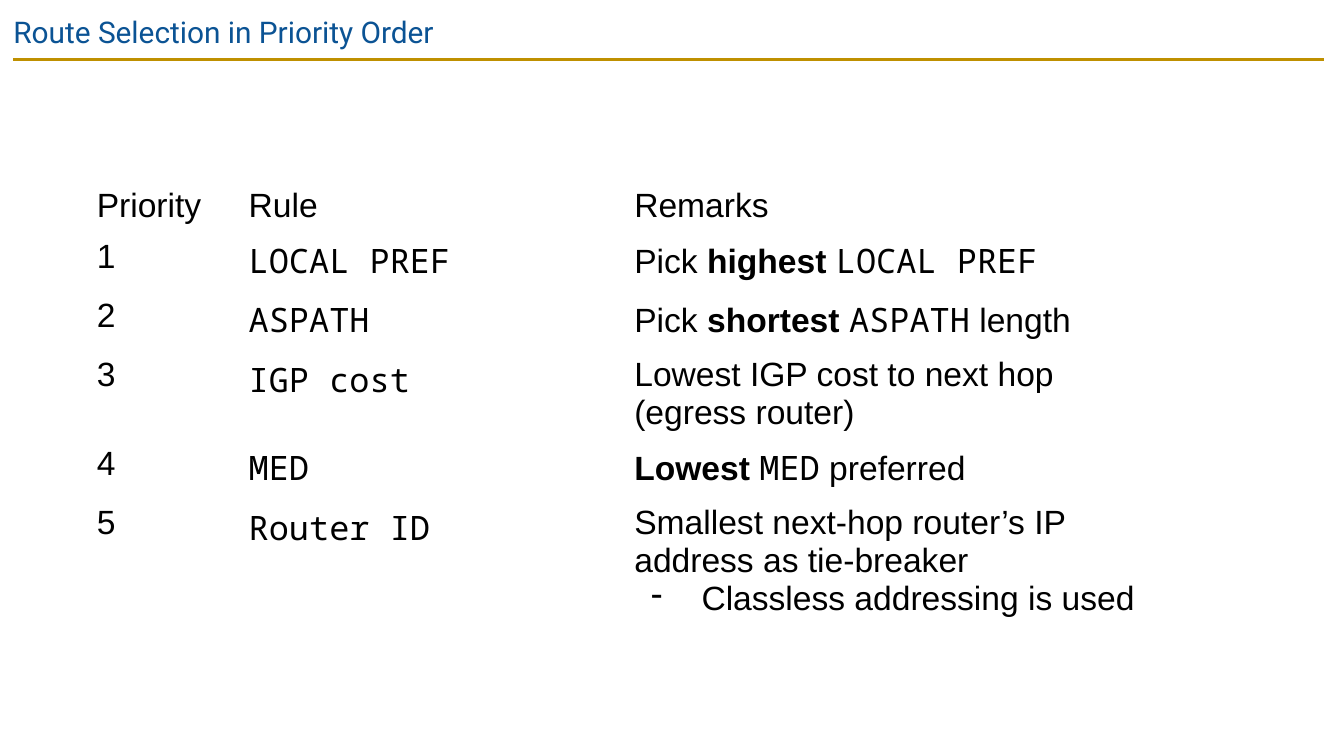
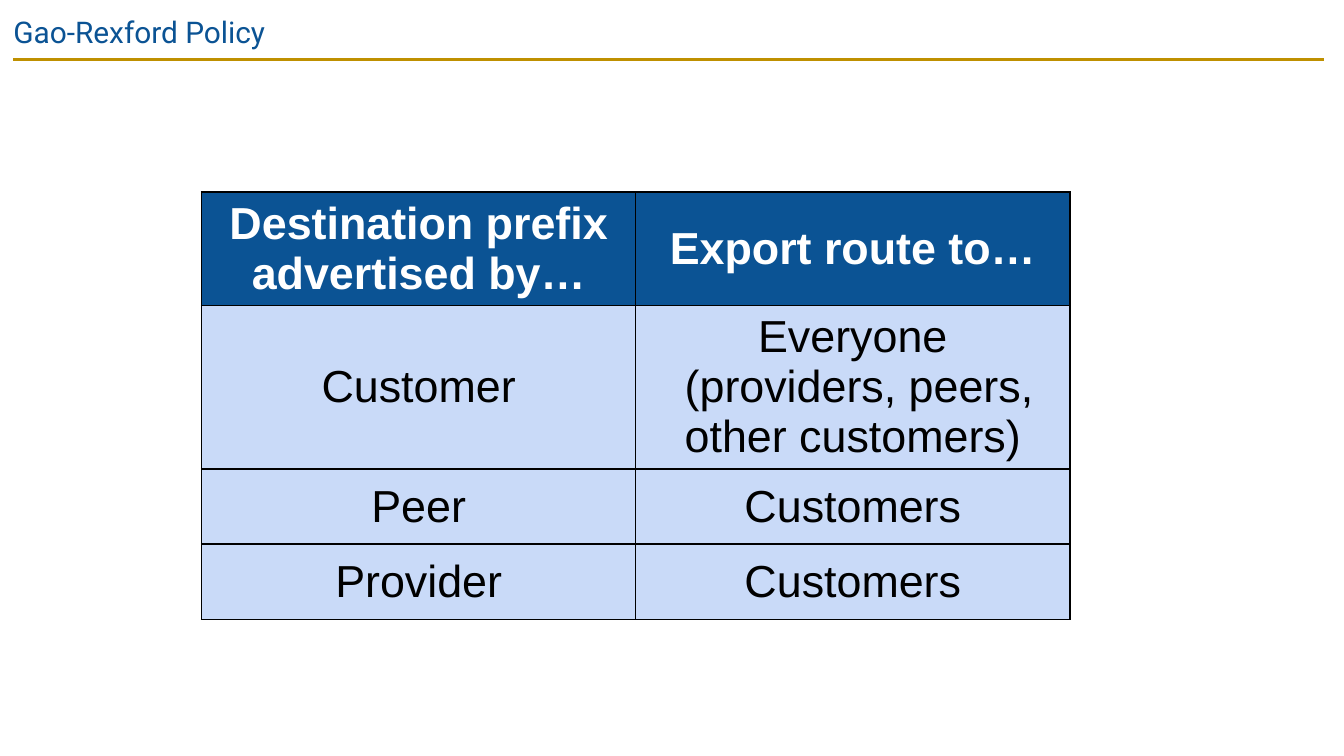
"""Build two routing slides: route selection rules and the Gao-Rexford export policy."""
from dataclasses import dataclass
from typing import NamedTuple

from lxml import etree
from pptx import Presentation
from pptx import util as u
from pptx.dml.color import RGBColor
from pptx.enum import shapes, text
from pptx.oxml import ns


@dataclass(frozen=True)
class Theme:
    blue: str = "0B5394"
    pale_blue: str = "C9DAF8"
    gold: str = "BF9000"
    black: str = "000000"
    white: str = "FFFFFF"
    title_font: str = "Roboto"
    body_font: str = "Arial"
    code_font: str = "Noto Sans Mono"
    title_size: float = 16
    rule_size: float = 18
    policy_size: float = 24


class Span(NamedTuple):
    text: str
    bold: bool = False
    code: bool = False


@dataclass(frozen=True)
class TableLayout:
    left: float
    top: float
    columns: tuple[float, ...]
    rows: tuple[float, ...]
    side_margin: float


class Rule(NamedTuple):
    name: str
    remark: tuple[Span, ...]
    detail: str = ""


THEME = Theme()
TITLE_ONLY = 5
SLIDE_WIDTH, SLIDE_HEIGHT = 720, 405
MARGIN = 7.2
RULES_LAYOUT = TableLayout(44.64, 96.48, (81.36, 206.64, 288), (25.92,) + (29.52,) * 5, MARGIN)
POLICY_LAYOUT = TableLayout(108, 103, (232.56,) * 2, (41.76, 60.48, 40.32, 40.32), 3.6)

RULE_HEADINGS = ("Priority", "Rule", "Remarks")
RULES = (
    Rule("LOCAL PREF", (Span("Pick "), Span("highest ", bold=True), Span("LOCAL PREF", code=True))),
    Rule("ASPATH", (Span("Pick "), Span("shortest ", bold=True), Span("ASPATH", code=True),
                    Span(" length"))),
    Rule("IGP cost", (Span("Lowest IGP cost to next hop (egress router)"),)),
    Rule("MED", (Span("Lowest ", bold=True), Span("MED", code=True), Span(" preferred"))),
    Rule("Router ID", (Span("Smallest next-hop router’s IP address as tie-breaker"),),
         "Classless addressing is used"),
)
POLICY = (
    ("Destination prefix advertised by…", "Export route to…"),
    ("Customer", "Everyone\v (providers, peers, other customers)"),
    ("Peer", "Customers"),
    ("Provider", "Customers"),
)


def format_run(run, font: str, size: float, color: str, bold: bool = False) -> None:
    """Apply font, size, colour and weight to a run."""
    run.font.name = font
    run.font.size = u.Pt(size)
    run.font.color.rgb = RGBColor.from_string(color)
    run.font.bold = bold


def add_titled_slide(presentation, title: str):
    """Add a slide with the shared title style and gold line."""
    slide = presentation.slides.add_slide(presentation.slide_layouts[TITLE_ONLY])
    shape = slide.shapes.title
    shape.left, shape.top = u.Pt(0), u.Pt(0)
    shape.width, shape.height = u.Pt(SLIDE_WIDTH), u.Pt(31)
    frame = shape.text_frame
    frame.text = title
    frame.word_wrap = True
    frame.auto_size = text.MSO_AUTO_SIZE.NONE
    frame.vertical_anchor = text.MSO_ANCHOR.TOP
    frame.margin_left = frame.margin_right = u.Pt(MARGIN)
    frame.margin_top = frame.margin_bottom = u.Pt(MARGIN)
    paragraph = frame.paragraphs[0]
    paragraph.alignment = text.PP_ALIGN.LEFT
    format_run(paragraph.runs[0], THEME.title_font, THEME.title_size, THEME.blue)

    line = slide.shapes.add_connector(
        shapes.MSO_CONNECTOR.STRAIGHT, u.Pt(7.2), u.Pt(31.8), u.Pt(709.2), u.Pt(31.8))
    line.line.color.rgb = RGBColor.from_string(THEME.gold)
    line.line.width = u.Pt(1.5)
    etree.SubElement(line._element.spPr, ns.qn("a:effectLst"))
    return slide


def add_table(slide, layout: TableLayout):
    """Add an unbanded table with the given grid and cell margins."""
    frame = slide.shapes.add_table(
        len(layout.rows), len(layout.columns), u.Pt(layout.left), u.Pt(layout.top),
        u.Pt(sum(layout.columns)), u.Pt(sum(layout.rows)))
    table = frame.table
    table.horz_banding = False
    for column, width in zip(table.columns, layout.columns):
        column.width = u.Pt(width)
    for row, height in zip(table.rows, layout.rows):
        row.height = u.Pt(height)
    for cell in table.iter_cells():
        cell.margin_left = cell.margin_right = u.Pt(layout.side_margin)
        cell.margin_top = cell.margin_bottom = u.Pt(3.6)
        cell.fill.background()
    return table


def write_spans(paragraph, spans: tuple[Span, ...]) -> None:
    """Write a paragraph of plain, bold and code spans."""
    for span in spans:
        run = paragraph.add_run()
        run.text = span.text
        font = THEME.code_font if span.code else THEME.body_font
        format_run(run, font, THEME.rule_size, THEME.black, span.bold)


def add_dash(paragraph) -> None:
    """Give a paragraph a hanging dash bullet."""
    properties = paragraph._p.get_or_add_pPr()
    properties.set("marL", str(u.Pt(36)))
    properties.set("indent", str(u.Pt(-27)))
    color = etree.SubElement(properties, ns.qn("a:buClr"))
    etree.SubElement(color, ns.qn("a:srgbClr"), val=THEME.black)
    etree.SubElement(properties, ns.qn("a:buChar"), char="-")


def add_borders(cell, color: str, width: float) -> None:
    """Draw a solid line on all four sides of a cell."""
    properties = cell._tc.get_or_add_tcPr()
    for index, side in enumerate(("lnL", "lnR", "lnT", "lnB")):
        border = etree.Element(ns.qn(f"a:{side}"), w=str(u.Pt(width)))
        fill = etree.SubElement(border, ns.qn("a:solidFill"))
        etree.SubElement(fill, ns.qn("a:srgbClr"), val=color)
        properties.insert(index, border)


def build_rules_slide(presentation) -> None:
    """List the route selection rules in priority order."""
    slide = add_titled_slide(presentation, "Route Selection in Priority Order")
    table = add_table(slide, RULES_LAYOUT)
    rows = [tuple((Span(heading),) for heading in RULE_HEADINGS)]
    for priority, rule in enumerate(RULES, start=1):
        rows.append(((Span(str(priority)),), (Span(rule.name, code=True),), rule.remark))
    for row_index, row in enumerate(rows):
        for column_index, spans in enumerate(row):
            frame = table.cell(row_index, column_index).text_frame
            write_spans(frame.paragraphs[0], spans)
    for row_index, rule in enumerate(RULES, start=1):
        if rule.detail:
            paragraph = table.cell(row_index, 2).text_frame.add_paragraph()
            add_dash(paragraph)
            write_spans(paragraph, (Span(rule.detail),))


def build_policy_slide(presentation) -> None:
    """Show which neighbours each kind of route is exported to."""
    slide = add_titled_slide(presentation, "Gao-Rexford Policy")
    table = add_table(slide, POLICY_LAYOUT)
    for row_index, row in enumerate(POLICY):
        heading = row_index == 0
        for column_index, label in enumerate(row):
            cell = table.cell(row_index, column_index)
            cell.vertical_anchor = text.MSO_ANCHOR.MIDDLE
            cell.fill.solid()
            cell.fill.fore_color.rgb = RGBColor.from_string(
                THEME.blue if heading else THEME.pale_blue)
            add_borders(cell, THEME.black, 1)
            paragraph = cell.text_frame.paragraphs[0]
            paragraph.text = label
            paragraph.alignment = text.PP_ALIGN.CENTER
            for run in paragraph.runs:
                format_run(run, THEME.body_font, THEME.policy_size,
                           THEME.white if heading else THEME.black, heading)


def main() -> None:
    """Build and save the presentation."""
    presentation = Presentation()
    presentation.slide_width = u.Pt(SLIDE_WIDTH)
    presentation.slide_height = u.Pt(SLIDE_HEIGHT)
    build_rules_slide(presentation)
    build_policy_slide(presentation)
    presentation.save("out.pptx")


if __name__ == "__main__":
    main()
